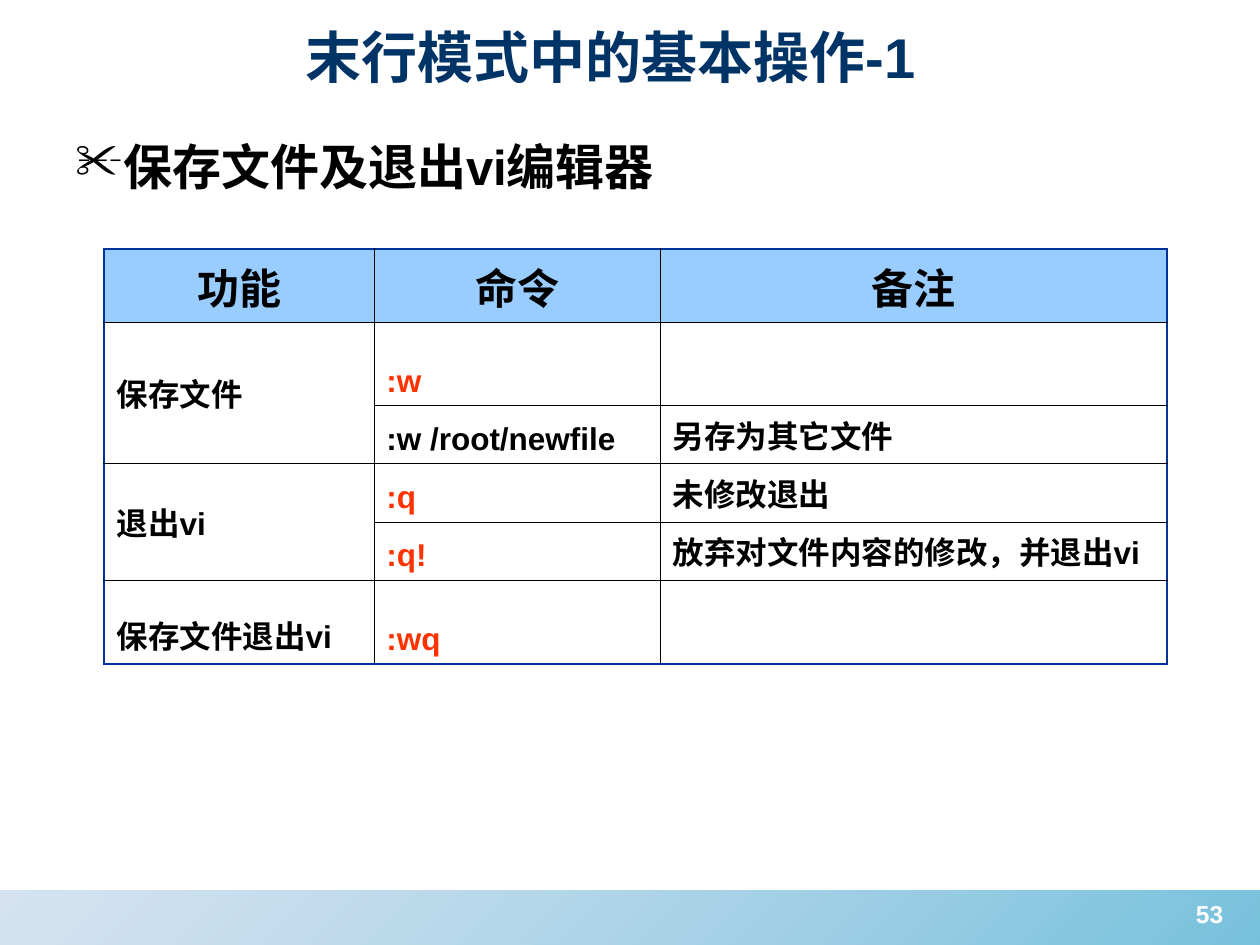
from pptx import Presentation
from pptx.dml.color import RGBColor as Rgb
from pptx.enum.shapes import MSO_SHAPE as Form
from pptx.enum.text import MSO_ANCHOR as Anchor, PP_ALIGN as Align
from pptx.oxml.ns import qn
from pptx.util import Cm, Pt
from lxml.etree import SubElement as Sub, Element

HUES = {
    "ink": "000000", "navy": "003366", "edge": "003399", "head": "99CCFF",
    "red": "FF3300", "white": "FFFFFF", "pale": "88B0D8", "teal": "1C99C6",
    "shade": "C0C0C0",
}
ROWS = [
    ("功能", "命令", "备注"),
    ("保存文件", ":w", ""),
    ("", ":w /root/newfile", "另存为其它文件"),
    ("退出vi", ":q", "未修改退出"),
    ("", ":q!", "放弃对文件内容的修改，并退出vi"),
    ("保存文件退出vi", ":wq", ""),
]
KEYS = {":w", ":q", ":q!", ":wq"}
WIDTHS = [5.44, 5.77, 10.21]
HEIGHTS = [1.47, 1.69, 1.17, 1.17, 1.17, 1.69]
SPANS = [(1, 2), (3, 4)]


def hue(name):
    return Rgb.from_string(HUES[name])


def write(para, text, size, color):
    run = para.add_run()
    run.text = text
    font = run.font
    font.size, font.bold, font.name = Pt(size), True, "Arial"
    font.color.rgb = hue(color)
    return run


def frame(slide, box):
    text = slide.shapes.add_textbox(*map(Cm, box)).text_frame
    text.word_wrap = True
    return text


def add_foot(slide, box):
    x, y, w, h = box
    bar = slide.shapes.add_shape(Form.RECTANGLE, *map(Cm, box))
    bar.shadow.inherit = False
    bar.line.fill.background()
    bar.fill.gradient()
    bar.fill.gradient_angle = 315
    for stop, name, alpha in zip(bar.fill.gradient_stops, ("pale", "teal"), (35, 60)):
        stop.color.rgb = hue(name)
    tints = bar.element.spPr.iter(qn("a:srgbClr"))
    for tint, alpha in zip(list(tints), (35, 60)):
        Sub(tint, qn("a:alpha"), val=str(alpha * 1000))
    para = frame(slide, (x + w - 1.93, y + 0.05, 1.83, 1.32)).paragraphs[0]
    para.alignment = Align.CENTER
    write(para, "53", 14, "white")


def add_title(slide, box):
    text = frame(slide, box)
    text.vertical_anchor = Anchor.MIDDLE
    write(text.paragraphs[0], "末行模式中的基本操作-1", 32, "navy")


def add_point(slide, box):
    para = frame(slide, box).paragraphs[0]
    props = para._p.get_or_add_pPr()
    props.set("marL", str(Cm(0.97)))
    props.set("indent", str(-Cm(0.97)))
    Sub(Sub(props, qn("a:buClr")), qn("a:srgbClr"), val=HUES["ink"])
    Sub(props, qn("a:buChar"), char="✂")
    run = write(para, "保存文件及退出vi编辑器", 28, "ink")
    glow = Element(qn("a:effectLst"))
    cast = Sub(glow, qn("a:outerShdw"), dist=str(Pt(2)), dir="2700000")
    Sub(cast, qn("a:srgbClr"), val=HUES["shade"])
    run.font._element.find(qn("a:solidFill")).addnext(glow)


def set_edges(cell, row, col):
    outer = {"L": col == 0, "R": col == len(WIDTHS) - 1,
             "T": row == 0, "B": row == len(ROWS) - 1}
    props = cell._tc.get_or_add_tcPr()
    for side, bold in outer.items():
        line = Sub(props, qn("a:ln" + side), w=str(Pt(1.08 if bold else 0.45)))
        fill = Sub(line, qn("a:solidFill"))
        Sub(fill, qn("a:srgbClr"), val=HUES["edge" if bold else "ink"])


def add_grid(slide, x, y):
    size = map(Cm, (x, y, sum(WIDTHS), sum(HEIGHTS)))
    table = slide.shapes.add_table(len(ROWS), len(WIDTHS), *size).table
    table.first_row = table.horz_banding = False
    for col, width in zip(table.columns, WIDTHS):
        col.width = Cm(width)
    for row, high in zip(table.rows, HEIGHTS):
        row.height = Cm(high)
    for top, end in SPANS:
        table.cell(top, 0).merge(table.cell(end, 0))
    for r, words in enumerate(ROWS):
        for c, text in enumerate(words):
            cell = table.cell(r, c)
            set_edges(cell, r, c)
            cell.margin_left = cell.margin_right = Cm(0.25)
            cell.margin_top = cell.margin_bottom = Cm(0.13)
            cell.vertical_anchor = Anchor.MIDDLE if cell.is_merge_origin else Anchor.BOTTOM
            if r == 0:
                cell.fill.solid()
                cell.fill.fore_color.rgb = hue("head")
            else:
                cell.fill.background()
            para = cell.text_frame.paragraphs[0]
            para.alignment = Align.LEFT if r else Align.CENTER
            if text:
                write(para, text, 18 if r else 24, "red" if text in KEYS else "ink")


def main():
    deck = Presentation()
    deck.slide_width, deck.slide_height = Cm(25.4), Cm(19.05)
    slide = deck.slides.add_slide(deck.slide_layouts[6])
    add_foot(slide, (0, 17.95, 25.4, 1.1))
    add_title(slide, (5.9, 0.33, 17.6, 1.6))
    add_point(slide, (1.27, 2.62, 23.44, 15.11))
    add_grid(slide, 2.1, 5.02)
    deck.save("out.pptx")


if __name__ == "__main__":
    main()
